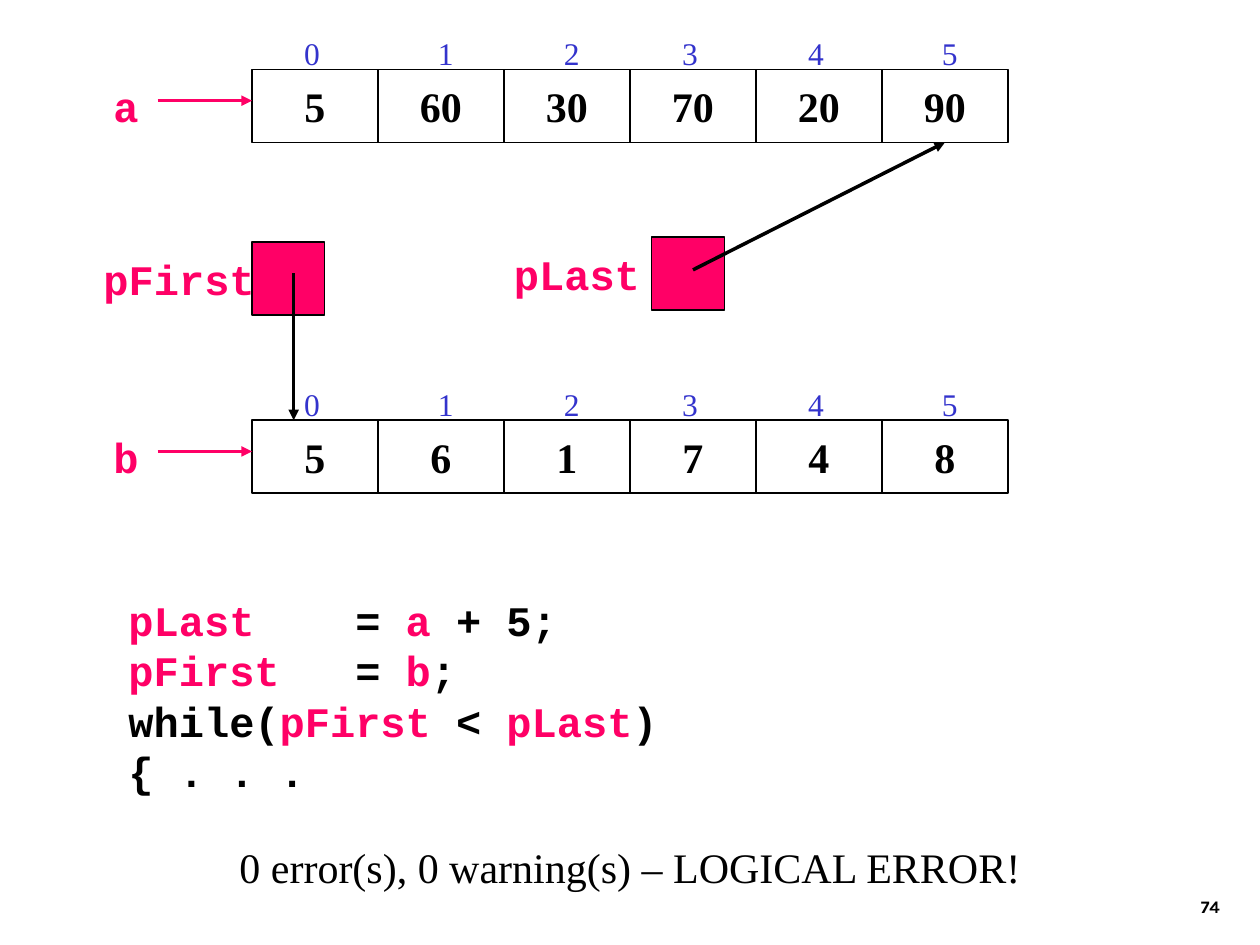
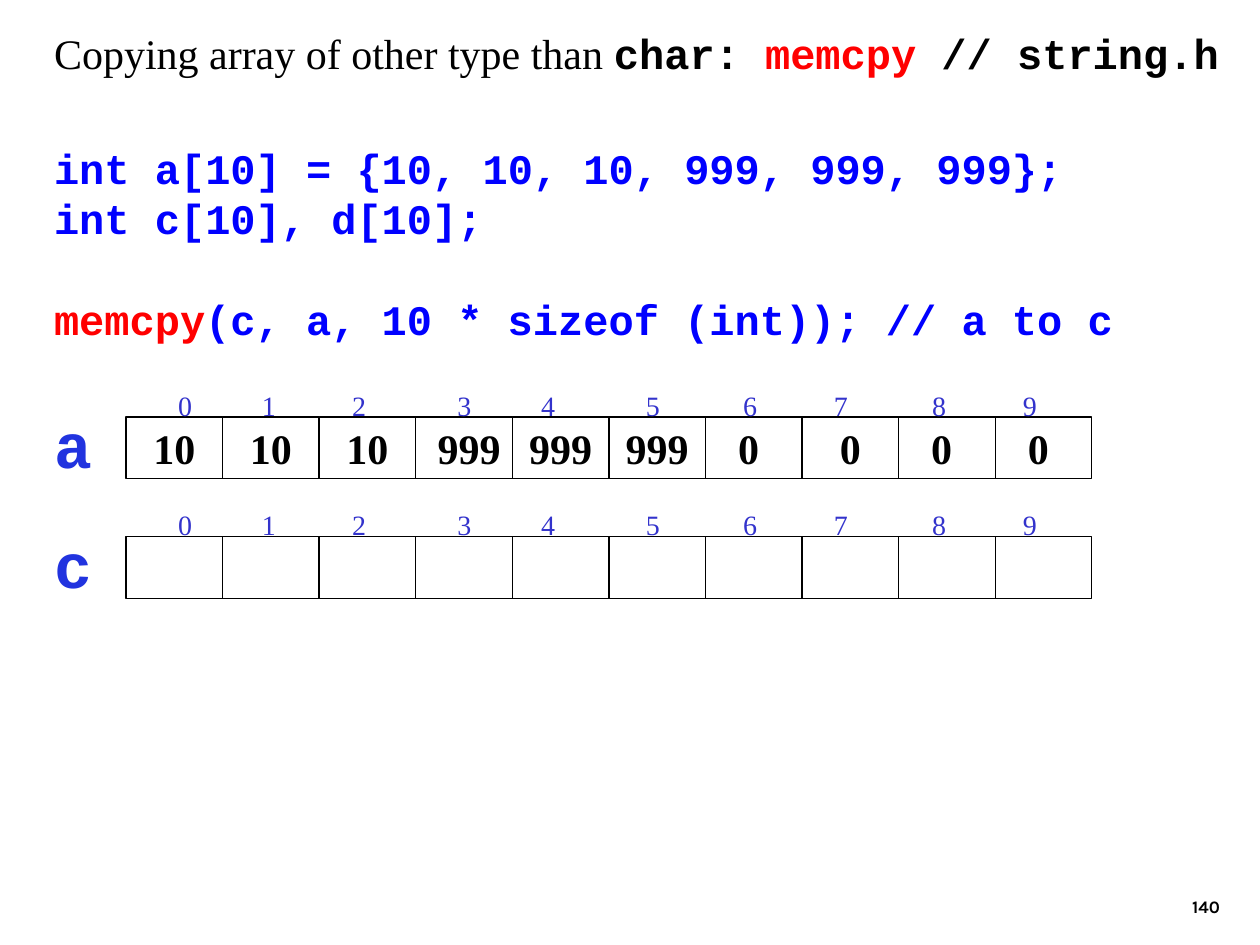
"""Build two slides on arrays, pointers and memcpy."""
from pptx import Presentation, util as u
from pptx.dml.color import RGBColor
from pptx.enum import shapes, text
from pptx.oxml.ns import qn
from lxml import etree

MONO, SERIF, SANS = "Courier New", "Times New Roman", "Karla"
BLACK, PINK, RED = "000000", "FF0066", "FF0000"
BLUE, INDIGO, NAVY = "0000FF", "3333CC", "2133DF"
LEFT, MID, RIGHT = text.PP_ALIGN.LEFT, text.PP_ALIGN.CENTER, text.PP_ALIGN.RIGHT
TOP, CORE, LOW = text.MSO_ANCHOR.TOP, text.MSO_ANCHOR.MIDDLE, text.MSO_ANCHOR.BOTTOM

ROWS = [
    dict(name="a", y=1.4, vals=["5", "60", "30", "70", "20", "90"]),
    dict(name="b", y=8.47, vals=["5", "6", "1", "7", "4", "8"]),
]
WIDE = dict(x=5.08, w=2.54, h=1.47, lift=1.07, size=18,
            tabs=[2.7, 5.24, 7.62, 10.16, 12.86])
BOXES = [("pLast", 9.83, 13.13, 4.78), ("pFirst", 1.81, 5.08, 4.88)]
LOOP = [
    [("pLast", PINK), ("    = ", BLACK), ("a ", PINK), ("+ 5;", BLACK)],
    [("pFirst", PINK), ("   = ", BLACK), ("b", PINK), (";", BLACK)],
    [("while(", BLACK), ("pFirst ", PINK), ("< ", BLACK), ("pLast", PINK), (")", BLACK)],
    [("{ . . .", BLACK)],
]
ERROR = "0 error(s), 0 warning(s) – LOGICAL ERROR!"

TITLE = [("Copying array of other type than ", BLACK, SERIF, False),
         ("char: ", BLACK), ("memcpy", RED), (" // string.h", BLACK)]
COPY = [
    [("int a[10] = {10, 10, 10, 999, 999, 999};", BLUE)],
    [("int c[10], d[10];", BLUE)],
    [("memcpy", RED), ("(c, a, 10 * sizeof (int)); // a to c", BLUE)],
]
LISTS = [
    dict(name="a", y=8.41, vals=["10", "10", "10", " 999", "999", "999",
                                 "0 ", "0", "0 ", "0 "]),
    dict(name="c", y=10.82, vals=[""] * 10),
]
SLIM = dict(x=2.54, w=19.47 / 10, h=1.24, lift=0.86, size=16,
            tabs=[1.69, 3.51, 5.63, 7.32, 9.43, 11.39, 13.22, 15.2, 17.03])


def tint(code):
    return RGBColor.from_string(code)


def fill(frame, paras, size, align=LEFT, anchor=TOP, wrap=False):
    """Write paragraphs of (words, colour, font, bold) runs into a frame."""
    frame.word_wrap = wrap
    frame.vertical_anchor = anchor
    for i, runs in enumerate(paras):
        para = frame.paragraphs[0] if i == 0 else frame.add_paragraph()
        para.alignment = align
        for words, color, *face in runs:
            name, bold = face or (MONO, True)
            run = para.add_run()
            run.text = words
            font = run.font
            font.size, font.name, font.bold = u.Pt(size), name, bold
            font.color.rgb = tint(color)


def label(slide, x, y, w, h, paras, size, **kind):
    """Add a text box and return its frame."""
    frame = slide.shapes.add_textbox(u.Cm(x), u.Cm(y), u.Cm(w), u.Cm(h)).text_frame
    fill(frame, paras, size, **kind)
    return frame


def rect(slide, x, y, w, h, color=None):
    """Add a thin black outlined rectangle."""
    box = slide.shapes.add_shape(shapes.MSO_SHAPE.RECTANGLE,
                                 u.Cm(x), u.Cm(y), u.Cm(w), u.Cm(h))
    box.shadow.inherit = False
    if color:
        box.fill.solid()
        box.fill.fore_color.rgb = tint(color)
    else:
        box.fill.background()
    box.line.color.rgb = tint(BLACK)
    box.line.width = u.Pt(0.75)
    return box


def arrow(slide, x1, y1, x2, y2, color):
    """Add a straight arrow."""
    link = slide.shapes.add_connector(shapes.MSO_CONNECTOR.STRAIGHT,
                                      u.Cm(x1), u.Cm(y1), u.Cm(x2), u.Cm(y2))
    link.line.color.rgb = tint(color)
    link.line.width = u.Pt(2)
    etree.SubElement(link.line._get_or_add_ln(), qn("a:tailEnd"), type="triangle")
    etree.SubElement(link._element.spPr, qn("a:effectLst"))
    return link


def array(slide, row, grid):
    """Draw the cells of an array with their indices above."""
    x, w, h, y = grid["x"], grid["w"], grid["h"], row["y"]
    cells = []
    for i, val in enumerate(row["vals"]):
        cell = rect(slide, x + i * w, y, w, h)
        if val:
            fill(cell.text_frame, [[(val, BLACK, SERIF, True)]], 24, MID, CORE)
        cells.append(cell)
    marks = "\t".join(str(i) for i in range(len(cells)))
    frame = label(slide, x, y - grid["lift"], w * len(cells), h,
                  [[(marks, INDIGO, SERIF, False)]], grid["size"], anchor=CORE, wrap=True)
    frame.margin_left = u.Cm(1.05)
    stops = etree.SubElement(frame.paragraphs[0]._p.get_or_add_pPr(), qn("a:tabLst"))
    for pos in grid["tabs"]:
        etree.SubElement(stops, qn("a:tab"), pos=str(u.Cm(pos)), algn="l")
    return cells


def page(deck, num):
    """Add a blank slide with its number."""
    slide = deck.slides.add_slide(deck.slide_layouts[6])
    label(slide, 19.56, 17.35, 5.28, 1.27, [[(num, BLACK, SANS, True)]], 10,
          align=RIGHT, anchor=LOW, wrap=True)
    return slide


def loop(deck):
    """Show pointers into two different arrays."""
    slide = page(deck, "74")
    label(slide, 0, 15.88, 25.4, 3.17, [[(ERROR, BLACK, SERIF, False)]], 24,
          align=MID, anchor=CORE)
    label(slide, 2.34, 11.86, 20.96, 4.32, LOOP, 24, wrap=True)
    rows = []
    for row in ROWS:
        y = row["y"]
        rows.append(array(slide, row, WIDE))
        label(slide, 1.27, y, 2.54, 1.47, [[(row["name"], PINK)]], 24,
              align=MID, anchor=CORE)
        arrow(slide, 3.18, y + 0.63, WIDE["x"], y + 0.63, PINK)
    for name, x, left, y in BOXES:
        label(slide, x, y, 3.6, 1.47, [[(name, PINK)]], 24, align=MID, anchor=CORE)
        rect(slide, left, y, 1.47, 1.47, PINK)
    last = arrow(slide, 13.97, 5.44, 19.05, 2.87, BLACK)
    last.end_connect(rows[0][-1], 2)
    arrow(slide, 5.92, 5.51, 5.92, ROWS[1]["y"], BLACK)


def clone(deck):
    """Show memcpy between two arrays."""
    slide = page(deck, "140")
    frame = label(slide, 0.84, 2.74, 22.66, 6.35, COPY, 24, wrap=True)
    frame.paragraphs[-1].space_before = u.Pt(28.8)
    label(slide, 0.84, 0.43, 23.98, 1.27, [TITLE], 24)
    for row in LISTS:
        array(slide, row, SLIM)
        label(slide, 0.84, row["y"] - 0.36, 1.27, 1.78, [[(row["name"], NAVY)]], 36,
              align=RIGHT)


def main():
    deck = Presentation()
    deck.slide_width, deck.slide_height = u.Cm(25.4), u.Cm(19.05)
    loop(deck)
    clone(deck)
    deck.save("out.pptx")


if __name__ == "__main__":
    main()
